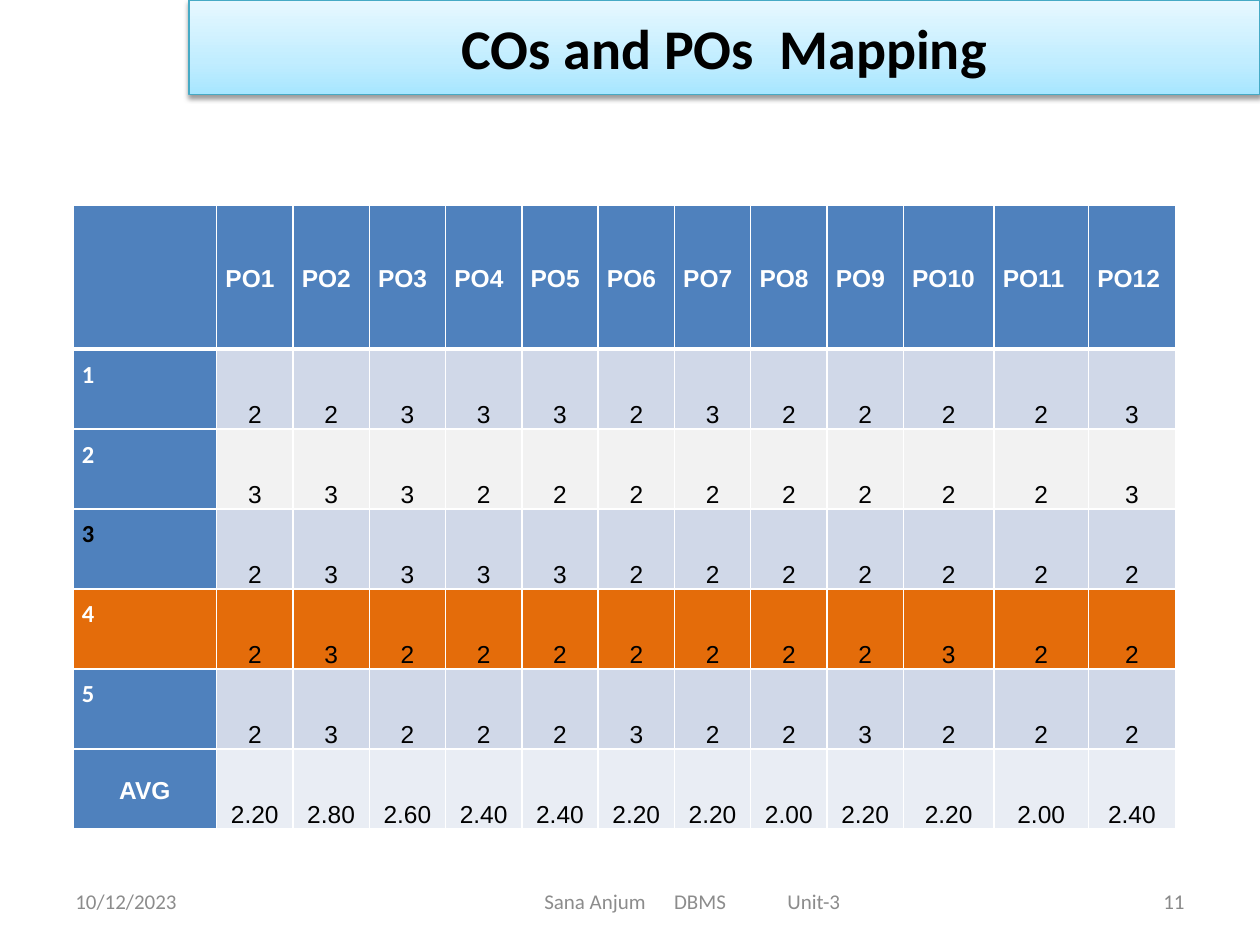
import copy
import dataclasses

import lxml.etree
import pptx
import pptx.dml.color
import pptx.enum.shapes
import pptx.enum.text
import pptx.oxml.ns
import pptx.util

Inches = pptx.util.Inches
Pt = pptx.util.Pt
ALIGN = pptx.enum.text.PP_ALIGN
ANCHOR = pptx.enum.text.MSO_ANCHOR
qn = pptx.oxml.ns.qn


@dataclasses.dataclass(frozen=True)
class Theme:
    black: str = "000000"
    white: str = "FFFFFF"
    footer: str = "8C8C8C"
    number: str = "898989"
    header: str = "4F81BD"
    band: str = "D0D8E8"
    pale: str = "F2F2F2"
    average: str = "E9EDF4"
    highlight: str = "E46C0A"
    banner_line: str = "46AAC5"
    banner_stops: tuple = ((0, "A7E6FF"), (0.35, "C1EDFF"), (1, "E7F8FF"))
    heading_font: str = "Calibri"
    table_font: str = "Arial"
    title_size: int = 32
    table_size: int = 14
    footer_size: int = 12


def rgb(value):
    return pptx.dml.color.RGBColor.from_string(value)


def write_text(frame, text, *, size, font, color, bold=False, align=ALIGN.LEFT,
               line_spacing=None, space_after=None):
    paragraph = frame.paragraphs[0]
    paragraph.alignment = align
    paragraph.line_spacing = line_spacing
    if space_after is not None:
        paragraph.space_after = Pt(space_after)
    run = paragraph.add_run()
    run.text = text
    run.font.size = Pt(size)
    run.font.name = font
    run.font.bold = bold
    run.font.color.rgb = rgb(color)


class SlideBuilder:
    def __init__(self, slide, theme):
        self.slide = slide
        self.theme = theme

    def banner(self, text, left, top, width, height):
        theme = self.theme
        banner = self.slide.shapes.add_shape(
            pptx.enum.shapes.MSO_SHAPE.RECTANGLE,
            Inches(left), Inches(top), Inches(width), Inches(height))
        properties = banner._element.spPr

        # Three-stop gradient, darkest at the bottom
        banner.fill.gradient()
        banner.fill.gradient_angle = 90
        stops = properties.find(".//" + qn("a:gsLst"))
        stops.append(copy.deepcopy(stops[0]))
        for stop, (position, color) in zip(banner.fill.gradient_stops, theme.banner_stops):
            stop.position = position
            stop.color.rgb = rgb(color)
        banner.line.color.rgb = rgb(theme.banner_line)
        banner.line.width = Pt(0.75)

        # Soft shadow straight below
        banner.shadow.inherit = False
        shadow = lxml.etree.SubElement(
            properties.find(qn("a:effectLst")), qn("a:outerShdw"),
            blurRad=str(Pt(3.1)), dist=str(Pt(1.6)), dir="5400000", rotWithShape="0")
        tone = lxml.etree.SubElement(shadow, qn("a:srgbClr"), val=theme.black)
        lxml.etree.SubElement(tone, qn("a:alpha"), val="38000")

        banner.text_frame.word_wrap = True
        banner.text_frame.vertical_anchor = ANCHOR.MIDDLE
        write_text(banner.text_frame, text, size=theme.title_size,
                   font=theme.heading_font, color=theme.black, bold=True,
                   align=ALIGN.CENTER)

    def footer(self, text, left, width, color, align=ALIGN.LEFT, inset=0.1, tabs=()):
        box = self.slide.shapes.add_textbox(
            Inches(left), Inches(6.95), Inches(width), Inches(0.4))
        frame = box.text_frame
        frame.word_wrap = True
        frame.vertical_anchor = ANCHOR.MIDDLE
        frame.margin_left = Inches(inset)
        write_text(frame, text, size=self.theme.footer_size,
                   font=self.theme.heading_font, color=color, align=align)
        if tabs:
            settings = frame.paragraphs[0]._p.get_or_add_pPr()
            tab_list = lxml.etree.SubElement(settings, qn("a:tabLst"))
            for position in tabs:
                lxml.etree.SubElement(tab_list, qn("a:tab"),
                                      pos=str(Inches(position)), algn="l")

    def table(self, left, top, column_widths, row_heights):
        grid = self.slide.shapes.add_table(
            len(row_heights), len(column_widths), Inches(left), Inches(top),
            Inches(sum(column_widths)), Inches(sum(row_heights))).table
        for column, width in zip(grid.columns, column_widths):
            column.width = Inches(width)
        for row, height in zip(grid.rows, row_heights):
            row.height = Inches(height)
        return grid

    def cell(self, cell, text, fill, anchor=ANCHOR.MIDDLE, margin_top=0,
             top_line=1, bottom_line=1, **text_format):
        cell.margin_left = cell.margin_right = Inches(0.07)
        cell.margin_top = Inches(margin_top)
        cell.margin_bottom = 0
        cell.vertical_anchor = anchor
        properties = cell._tc.get_or_add_tcPr()
        for side, weight in (("L", 1), ("R", 1), ("T", top_line), ("B", bottom_line)):
            border = lxml.etree.SubElement(properties, qn("a:ln" + side),
                                           w=str(Pt(weight)))
            paint = lxml.etree.SubElement(border, qn("a:solidFill"))
            lxml.etree.SubElement(paint, qn("a:srgbClr"), val=self.theme.white)
        cell.fill.solid()
        cell.fill.fore_color.rgb = rgb(fill)
        if text:
            style = dict(size=self.theme.table_size, font=self.theme.table_font,
                         color=self.theme.white, line_spacing=1.15)
            write_text(cell.text_frame, text, **(style | text_format))


def main():
    theme = Theme()
    deck = pptx.Presentation()
    deck.slide_width, deck.slide_height = Inches(10), Inches(7.5)
    builder = SlideBuilder(deck.slides.add_slide(deck.slide_layouts[6]), theme)

    # Footer
    builder.footer("10/12/2023", 0.5, 2.33, theme.footer)
    builder.footer("Sana Anjum\tDBMS\tUnit-3", 2.75, 5.5, theme.footer,
                   inset=1.57, tabs=(1.03, 1.93))
    builder.footer("11", 7.17, 2.33, theme.number, align=ALIGN.RIGHT)

    # Title
    builder.banner("COs and POs  Mapping", 1.5, 0, 8.5, 0.75)

    # Mapping table: the first nine outcomes share what the other columns leave
    label_width, wide_widths = 1.14, [0.72, 0.75, 0.69]
    outcome_width = (8.75 - label_width - sum(wide_widths)) / 9
    header_height = 1.14
    mapping = builder.table(
        0.58, 1.63, [label_width] + [outcome_width] * 9 + wide_widths,
        [header_height] + [(4.95 - header_height) / 6] * 6)

    # Header row
    for column, heading in enumerate([""] + [f"PO{n}" for n in range(1, 13)]):
        builder.cell(mapping.cell(0, column), heading, theme.header, bottom_line=3,
                     bold=True, align=ALIGN.JUSTIFY)

    # Course outcomes: label, levels, label fill, level fill, label colour
    outcomes = [
        ("1", "2 2 3 3 3 2 3 2 2 2 2 3", theme.header, theme.band, theme.white),
        ("2", "3 3 3 2 2 2 2 2 2 2 2 3", theme.header, theme.pale, theme.white),
        ("3", "2 3 3 3 3 2 2 2 2 2 2 2", theme.header, theme.band, theme.black),
        ("4", "2 3 2 2 2 2 2 2 2 3 2 2", theme.highlight, theme.highlight, theme.white),
        ("5", "2 3 2 2 2 3 2 2 3 2 2 2", theme.header, theme.band, theme.white),
        ("AVG", "2.20 2.80 2.60 2.40 2.40 2.20 2.20 2.00 2.20 2.20 2.00 2.40",
         theme.header, theme.average, theme.white),
    ]
    average_label = dict(align=ALIGN.CENTER)
    outcome_label = dict(font=theme.heading_font, anchor=ANCHOR.TOP, margin_top=0.05)
    for row, (label, levels, label_fill, level_fill, color) in enumerate(outcomes, 1):
        top_line = 3 if row == 1 else 1
        label_style = average_label if label == "AVG" else outcome_label
        builder.cell(mapping.cell(row, 0), label, label_fill, top_line=top_line,
                     color=color, bold=True, **label_style)
        for column, level in enumerate(levels.split(), 1):
            builder.cell(mapping.cell(row, column), level, level_fill,
                         anchor=ANCHOR.BOTTOM, top_line=top_line, color=theme.black,
                         align=ALIGN.CENTER, space_after=10)

    deck.save("out.pptx")


if __name__ == "__main__":
    main()
